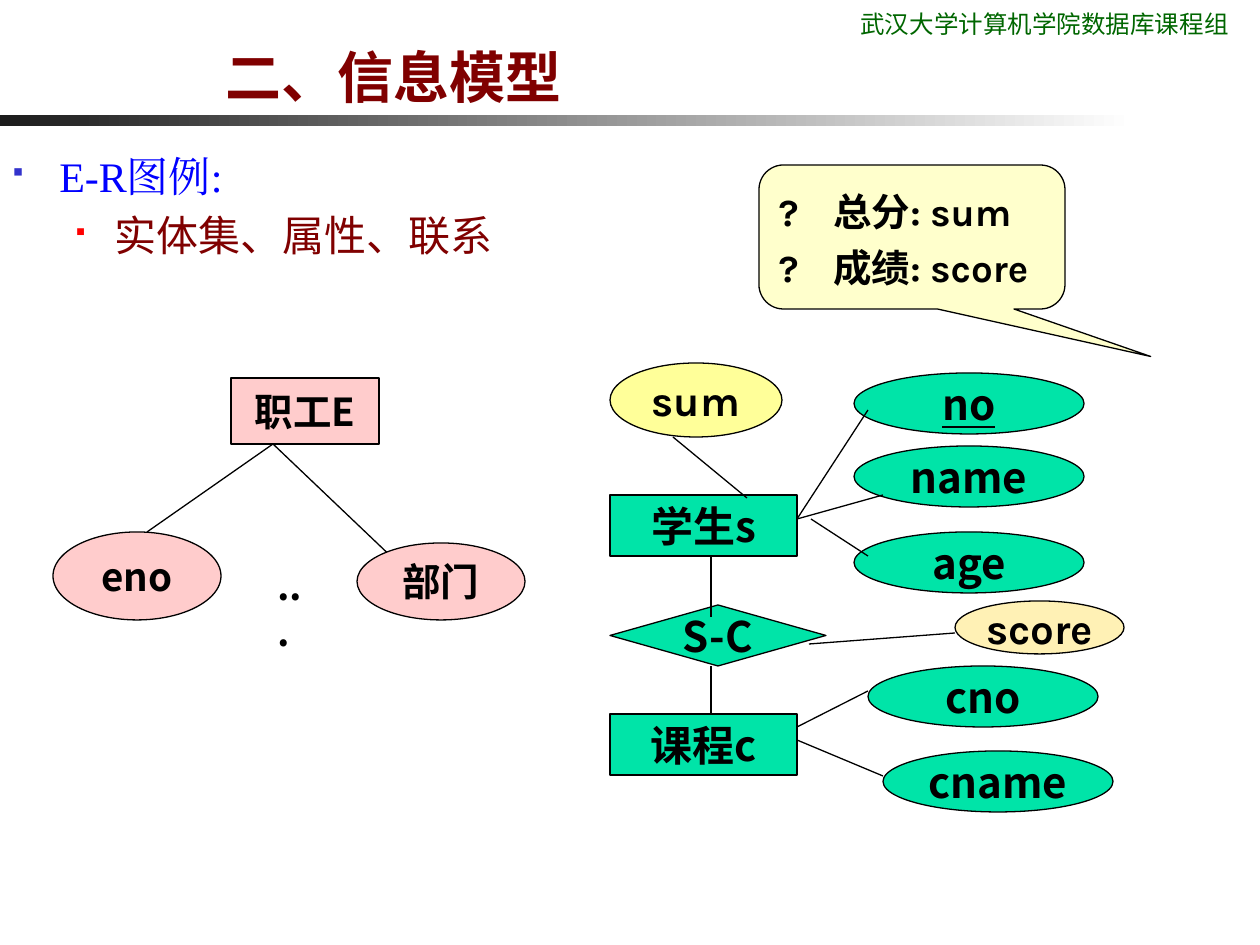
from lxml import etree
from pptx import Presentation
from pptx import util as u
from pptx.dml.color import RGBColor
from pptx.enum import shapes, text
from pptx.oxml.ns import qn

SCALE = 914400 / 126  # EMU per px
NOTO, KARLA, TIMES = "Noto Sans CJK SC", "Karla", "Times New Roman"

BLACK = RGBColor(0, 0, 0)
WHITE = RGBColor(255, 255, 255)
CHARCOAL = RGBColor(0x1C, 0x1C, 0x1C)
DARK_GREEN = RGBColor(0, 0x66, 0)
MAROON = RGBColor(0x80, 0, 0)
BLUE = RGBColor(0, 0, 0xFF)
INDIGO = RGBColor(0x33, 0x33, 0xCC)
RED = RGBColor(0xFF, 0, 0)
PINK = RGBColor(0xFF, 0xCC, 0xCC)
GREEN = RGBColor(0, 0xE4, 0xA8)
YELLOW = RGBColor(0xFF, 0xFF, 0x99)
CREAM = RGBColor(0xFF, 0xFF, 0xCC)
SAND = RGBColor(0xFF, 0xF1, 0xB5)

SHAPE = shapes.MSO_SHAPE
MIDDLE = text.MSO_ANCHOR.MIDDLE
CENTER = text.PP_ALIGN.CENTER


def px(value):
    return u.Emu(round(value * SCALE))


def style_run(run, font, size, color, bold=False, underline=None):
    run.font.name = font
    run.font.size = u.Pt(size)
    run.font.color.rgb = color
    run.font.bold = bold
    run.font.underline = underline
    properties = run.font._element
    latin = properties.find(qn("a:latin"))
    east_asian = etree.Element(qn("a:ea"), typeface=font)
    latin.addnext(east_asian)


def add_text(slide, left, top, width, height):
    frame = slide.shapes.add_textbox(px(left), px(top), px(width), px(height)).text_frame
    frame.word_wrap = True
    return frame


def add_outlined(slide, kind, left, top, width, height, fill):
    shape = slide.shapes.add_shape(kind, px(left), px(top), px(width), px(height))
    shape.shadow.inherit = False
    shape.fill.solid()
    shape.fill.fore_color.rgb = fill
    shape.line.color.rgb = BLACK
    shape.line.width = u.Pt(0.75)
    return shape


def add_node(slide, kind, box, label, fill, size=24, font=NOTO, underline=None):
    frame = add_outlined(slide, kind, *box, fill).text_frame
    frame.word_wrap = False
    frame.vertical_anchor = MIDDLE
    frame.text = label
    paragraph = frame.paragraphs[0]
    paragraph.alignment = CENTER
    style_run(paragraph.runs[0], font, size, BLACK, True, underline)


def add_links(slide, left, top, links):
    for x1, y1, x2, y2 in links:
        line = slide.shapes.add_connector(
            shapes.MSO_CONNECTOR.STRAIGHT,
            px(left + x1), px(top + y1), px(left + x2), px(top + y2))
        line.line.color.rgb = BLACK
        line.line.width = u.Pt(0.75)
        etree.SubElement(line._element.spPr, qn("a:effectLst"))


def add_bullet(paragraph, color, percent, margin, indent):
    properties = paragraph._p.get_or_add_pPr()
    properties.set("marL", str(px(margin)))
    properties.set("indent", str(px(indent)))
    bullet_color = etree.SubElement(properties, qn("a:buClr"))
    etree.SubElement(bullet_color, qn("a:srgbClr"), val=str(color))
    etree.SubElement(properties, qn("a:buSzPct"), val=str(percent * 1000))
    etree.SubElement(properties, qn("a:buFont"), typeface="Wingdings")
    etree.SubElement(properties, qn("a:buChar"), char="§")


def add_header(slide, left, top, width):
    # Fading rule
    rule = slide.shapes.add_shape(SHAPE.RECTANGLE, px(left), px(top + 115), px(1134), px(11))
    rule.shadow.inherit = False
    rule.line.fill.background()
    rule.fill.gradient()
    rule.fill.gradient_angle = 0
    for stop, color in zip(rule.fill.gradient_stops, (CHARCOAL, WHITE)):
        stop.color.rgb = color
    # Course group
    frame = add_text(slide, left + width - 412, top, 412, 43)
    frame.margin_top = px(9)
    frame.text = "武汉大学计算机学院数据库课程组"
    style_run(frame.paragraphs[0].runs[0], KARLA, 14, DARK_GREEN)
    # Title
    frame = add_text(slide, left + 213, top, 427, 116)
    frame.vertical_anchor = text.MSO_ANCHOR.BOTTOM
    for part, font in (("二、", NOTO), ("信息模型", KARLA)):
        run = frame.paragraphs[0].add_run()
        run.text = part
        style_run(run, font, 32, MAROON, True)


def add_outline(slide, left, top, width, height):
    frame = add_text(slide, left, top, width, height)
    frame.margin_top = px(14)
    frame.text = "E-R图例:\n实体集、属性、联系"
    heading, detail = frame.paragraphs
    add_bullet(heading, INDIGO, 60, 47, -47)
    add_bullet(detail, RED, 55, 102, -39)
    detail.level = 1
    detail.space_before = u.Pt(6)
    detail.line_spacing = u.Pt(28)
    style_run(heading.runs[0], TIMES, 24, BLUE)
    style_run(detail.runs[0], NOTO, 24, MAROON)


def add_employee_diagram(slide, left, top):
    add_links(slide, left, top, [(94, 154, 220, 66), (220, 66, 346, 186)])
    for kind, x, y, width, height, label in (
            (SHAPE.RECTANGLE, 178, 0, 148, 66, "职工E"),
            (SHAPE.OVAL, 0, 154, 168, 88, "eno"),
            (SHAPE.OVAL, 304, 165, 168, 77, "部门")):
        add_node(slide, kind, (left + x, top + y, width, height), label, PINK, 22)
    # Further attributes
    frame = add_text(slide, left + 212, top + 175, 58, 59)
    frame.margin_top = px(10)
    frame.text = "..."
    frame.paragraphs[0].line_spacing = u.Pt(26)
    style_run(frame.paragraphs[0].runs[0], NOTO, 22, BLACK, True)


def add_student_course_diagram(slide, left, top):
    # Entities and their relationship
    for kind, y, width, label in (
            (SHAPE.RECTANGLE, 132, 187, "学生s"),
            (SHAPE.FLOWCHART_DECISION, 242, 216, "S-C"),
            (SHAPE.RECTANGLE, 351, 187, "课程c")):
        add_node(slide, kind, (left, top + y, width, 61), label, GREEN)
    # Attributes
    for x, y, label in ((244, 10, "no"), (244, 83, "name"), (244, 169, "age"),
                        (258, 303, "cno"), (273, 388, "cname")):
        add_node(slide, SHAPE.OVAL, (left + x, top + y, 230, 61), label, GREEN,
                 underline=True if label == "no" else None)
    add_node(slide, SHAPE.OVAL, (left, top, 172, 74), "sum", YELLOW, font=KARLA)
    add_node(slide, SHAPE.OVAL, (left + 345, top + 238, 169, 53), "score", SAND, font=KARLA)
    add_links(slide, left, top, [
        (101, 193, 101, 254), (101, 303, 101, 351),
        (187, 156, 258, 47), (187, 156, 273, 132), (201, 156, 258, 193),
        (187, 364, 258, 328), (187, 377, 273, 413),
        (63, 74, 137, 135), (199, 281, 345, 270)])


def add_callout(slide, left, top, width, height):
    shape = add_outlined(slide, SHAPE.ROUNDED_RECTANGULAR_CALLOUT,
                         left, top, width, height, CREAM)
    for index, value in enumerate((0.78, 0.83, 0.17)):
        shape.adjustments[index] = value
    frame = shape.text_frame
    frame.word_wrap = True
    frame.vertical_anchor = text.MSO_ANCHOR.TOP
    frame.margin_top = px(16)
    frame.text = "?\t总分: sum\n?\t成绩: score"
    for index, paragraph in enumerate(frame.paragraphs):
        properties = paragraph._p.get_or_add_pPr()
        properties.set("marL", str(px(55)))
        properties.set("indent", str(px(-55)))
        paragraph.alignment = text.PP_ALIGN.LEFT
        if index:
            paragraph.space_before = u.Pt(5.5)
        for run in paragraph.runs:
            style_run(run, KARLA, 22, BLACK, True)


def main():
    presentation = Presentation()
    presentation.slide_width = px(1260)
    presentation.slide_height = px(945)
    slide = presentation.slides.add_slide(presentation.slide_layouts[6])
    add_header(slide, 0, 0, 1260)
    add_outline(slide, 0, 136, 771, 231)
    add_employee_diagram(slide, 53, 378)
    add_student_course_diagram(slide, 610, 363)
    add_callout(slide, 759, 165, 306, 144)
    presentation.save("out.pptx")


if __name__ == "__main__":
    main()
